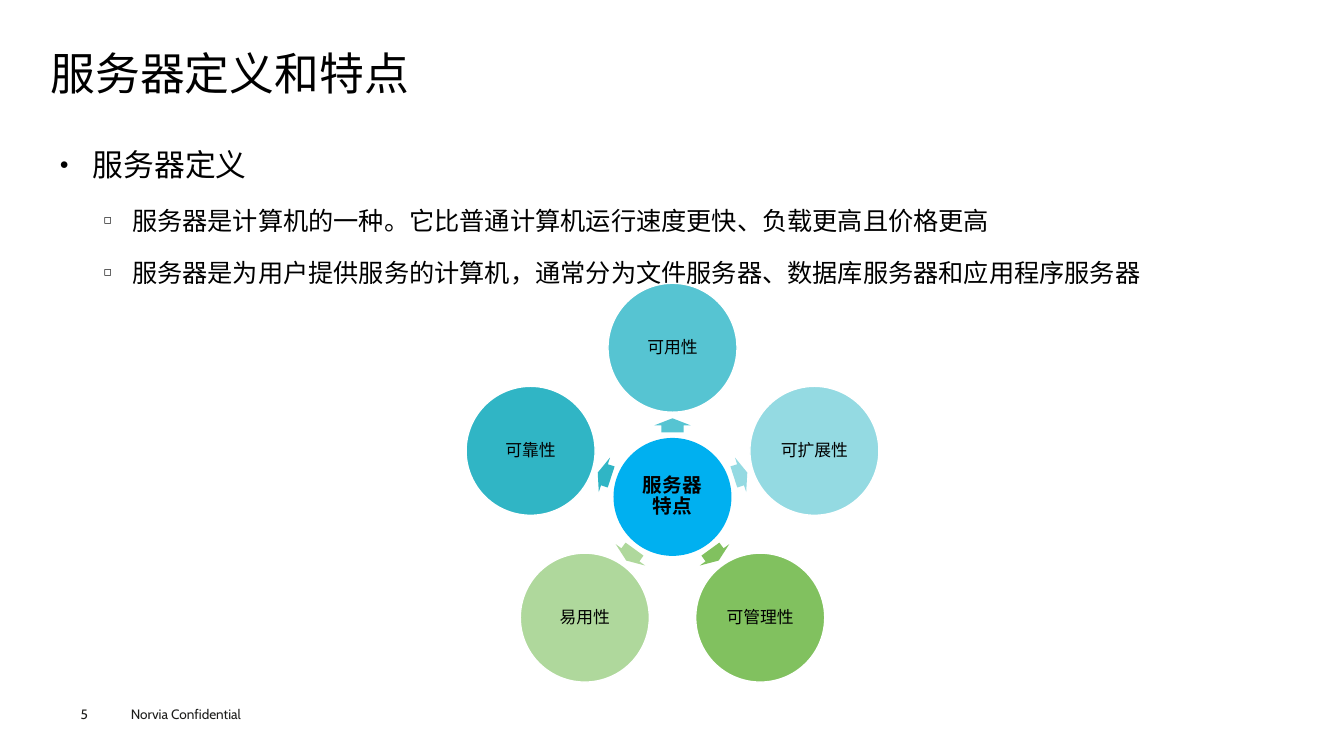
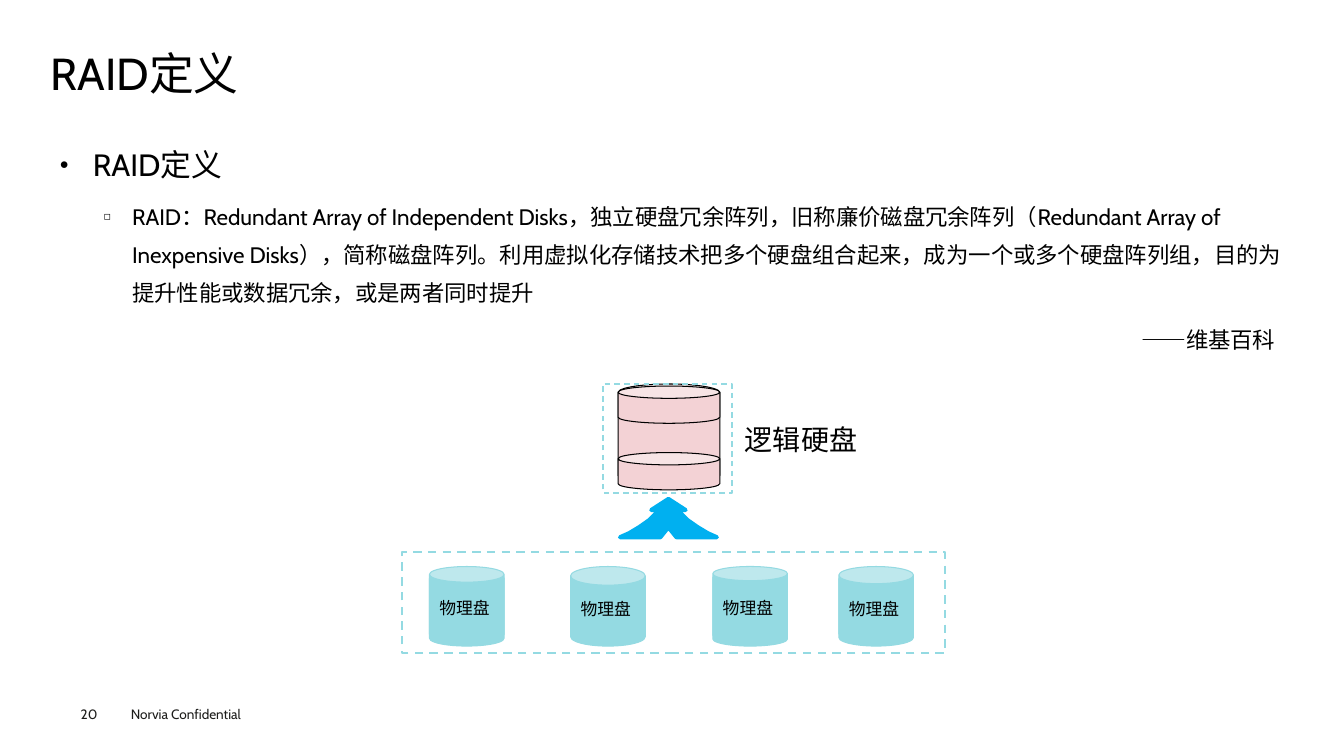
import math

from lxml import etree
from pptx import Presentation
from pptx.dml.color import RGBColor
from pptx.enum import dml, shapes, text
from pptx.oxml import ns
from pptx.util import Inches, Pt

BLACK = RGBColor(0x00, 0x00, 0x00)
WHITE = RGBColor(0xFF, 0xFF, 0xFF)
FOOTER_INK = RGBColor(0x1D, 0x1D, 0x1B)
BLUE = RGBColor(0x00, 0xB0, 0xF0)
TEAL = RGBColor(0x56, 0xC4, 0xD2)
PALE_TEAL = RGBColor(0x94, 0xDA, 0xE2)
DEEP_TEAL = RGBColor(0x30, 0xB5, 0xC5)
GREEN = RGBColor(0x81, 0xC1, 0x5F)
PALE_GREEN = RGBColor(0xAF, 0xD8, 0x9C)
PINK = RGBColor(0xF3, 0xD2, 0xD5)

FONT = "Cabin"
FOOTER = "Norvia Confidential"
ALIGN = text.PP_ALIGN
MIDDLE = text.MSO_ANCHOR.MIDDLE
CAN = shapes.MSO_SHAPE.CAN

# Each outline line: style, text, size
SERVER = {
    "number": 5,
    "title": "服务器定义和特点",
    "outline": [
        ("topic", "服务器定义", 22),
        ("point", "服务器是计算机的一种。它比普通计算机运行速度更快、负载更高且价格更高", 18),
        ("point", "服务器是为用户提供服务的计算机，通常分为文件服务器、数据库服务器和应用程序服务器", 18),
    ],
}
RAID = {
    "number": 20,
    "title": "RAID定义",
    "outline": [
        ("topic", "RAID定义", 22),
        ("point", "RAID：Redundant Array of Independent Disks，独立硬盘冗余阵列，旧称廉价磁盘冗余阵列"
                  "（Redundant Array of Inexpensive Disks），简称磁盘阵列。利用虚拟化存储技术把多个硬盘"
                  "组合起来，成为一个或多个硬盘阵列组，目的为提升性能或数据冗余，或是两者同时提升", 16),
        ("source", "——维基百科", 16),
    ],
}
OUTLINE_STYLES = {
    "topic": {"level": 0, "left": 0.33, "hang": 0.33, "right": 0, "before": 0,
              "bullet": "●", "align": ALIGN.JUSTIFY},
    "point": {"level": 1, "left": 0.72, "hang": 0.28, "right": 0, "before": 7.2,
              "bullet": "◻", "align": ALIGN.LEFT},
    "source": {"level": 1, "left": 0.44, "hang": 0, "right": 0.11, "before": 7.2,
               "bullet": None, "align": ALIGN.RIGHT},
}

# Clockwise from the top
FEATURES = [("可用性", TEAL), ("可扩展性", PALE_TEAL), ("可管理性", GREEN),
            ("易用性", PALE_GREEN), ("可靠性", DEEP_TEAL)]
HUB = (6.67, 4.93)
HUB_SIZE, FEATURE_SIZE, RING_RADIUS = 1.17, 1.28, 1.48
# Arrow corners: offset across the spoke, distance from the hub centre
SPOKE_ARROW = [(-0.11, 0.64), (-0.11, 0.71), (-0.18, 0.71), (0, 0.78),
               (0.18, 0.71), (0.11, 0.71), (0.11, 0.64)]

# Left edge and rim depth of each physical disk
PHYSICAL_DISKS = [(4.26, 0.21), (5.66, 0.25), (7.07, 0.19), (8.32, 0.23)]
# Right half of the merging arrow: offset from its axis, height on the slide
MERGE_AXIS = 6.63
MERGE_HALF = [(0, 4.95), (0.17, 5.06), (0.09, 5.06), (0.19, 5.16), (0.29, 5.23),
              (0.39, 5.29), (0.48, 5.33), (0.08, 5.33), (0, 5.23)]


def style_font(font, size, color=BLACK, bold=False):
    for key, value in {"name": FONT, "size": Pt(size), "bold": bold}.items():
        setattr(font, key, value)
    font.color.rgb = color


def set_frame(frame, insets, anchor=text.MSO_ANCHOR.TOP, wrap=True):
    """Insets run left, top, right, bottom."""
    for side, inset in zip(("left", "top", "right", "bottom"), insets):
        setattr(frame, f"margin_{side}", Inches(inset))
    frame.auto_size = text.MSO_AUTO_SIZE.NONE
    frame.vertical_anchor = anchor
    frame.word_wrap = wrap


def write(frame, words, size, color=BLACK, bold=False, align=ALIGN.LEFT, spacing=1.0):
    paragraph = frame.paragraphs[0]
    paragraph.text = words
    paragraph.alignment = align
    paragraph.line_spacing = spacing
    style_font(paragraph.font, size, color, bold)


def add_label(slide, box, words, size, insets=(0.1, 0.05, 0.1, 0.05), **formats):
    frame = slide.shapes.add_textbox(*map(Inches, box)).text_frame
    set_frame(frame, insets)
    write(frame, words, size, **formats)


def paint(shape, fill=None, line=None, width=1, dash=None):
    shape.shadow.inherit = False
    if fill is None:
        shape.fill.background()
    else:
        shape.fill.solid()
        shape.fill.fore_color.rgb = fill
    if line is None:
        shape.line.fill.background()
    else:
        shape.line.color.rgb = line
        shape.line.width = Pt(width)
        if dash:
            shape.line.dash_style = dash


def add_preset(slide, kind, box, rim=None, **look):
    shape = slide.shapes.add_shape(kind, *map(Inches, box))
    if rim is not None:
        shape.adjustments[0] = rim
    paint(shape, **look)
    return shape


def add_polygon(slide, points, **look):
    corners = [(Inches(x), Inches(y)) for x, y in points]
    builder = slide.shapes.build_freeform(*corners[0])
    builder.add_line_segments(corners[1:], close=True)
    paint(builder.convert_to_shape(), **look)


def set_bullet(paragraph, style):
    props = paragraph._p.get_or_add_pPr()
    for key, inches in (("marL", style["left"]), ("marR", style["right"]),
                        ("indent", -style["hang"])):
        props.set(key, str(int(Inches(inches))))
    if style["bullet"]:
        etree.SubElement(props, ns.qn("a:buSzPct"), val="50000")
        etree.SubElement(props, ns.qn("a:buChar"), char=style["bullet"])
    else:
        etree.SubElement(props, ns.qn("a:buNone"))


def fill_outline(frame, outline):
    # The top inset keeps the first line clear of the title
    set_frame(frame, (0.09, 0.15, 0.09, 0.04))
    for index, (kind, words, size) in enumerate(outline):
        style = OUTLINE_STYLES[kind]
        paragraph = frame.add_paragraph() if index else frame.paragraphs[0]
        paragraph.text = words
        paragraph.level = style["level"]
        set_bullet(paragraph, style)
        paragraph.alignment = style["align"]
        paragraph.line_spacing = 1.4
        paragraph.space_before = Pt(style["before"])
        style_font(paragraph.font, size)


def prepare_layout(deck):
    layout = deck.slide_layouts[1]
    boxes = [(0.5, 0.49, 12.35, 0.53), (0.5, 1.15, 12.35, 5.34)]
    for holder, box in zip(layout.placeholders, boxes):
        for side, inches in zip(("left", "top", "width", "height"), box):
            setattr(holder, side, Inches(inches))
    return layout


def add_content_slide(deck, layout, content):
    slide = deck.slides.add_slide(layout)
    title, body = slide.placeholders
    set_frame(title.text_frame, (0, 0, 0, 0), MIDDLE)
    write(title.text_frame, content["title"], 32, spacing=0.9)
    fill_outline(body.text_frame, content["outline"])
    add_label(slide, (1.2, 6.95, 1.6, 0.27), FOOTER, 9.7, color=FOOTER_INK)
    add_label(slide, (0.8, 7, 0.55, 0.16), str(content["number"]), 9.7,
              insets=(0, 0, 0, 0), color=FOOTER_INK)
    return slide


def add_circle(slide, center, size, words, points, bold=False, **look):
    box = (center[0] - size / 2, center[1] - size / 2, size, size)
    circle = add_preset(slide, shapes.MSO_SHAPE.OVAL, box, **look)
    set_frame(circle.text_frame, (0.07,) * 4, MIDDLE)
    write(circle.text_frame, words, points, bold=bold, align=ALIGN.CENTER, spacing=0.9)


def draw_feature_ring(slide):
    add_circle(slide, HUB, HUB_SIZE, "服务器特点", 14, bold=True, fill=BLUE)
    for index, (feature, color) in enumerate(FEATURES):
        angle = 2 * math.pi * index / len(FEATURES)
        sin, cos = math.sin(angle), math.cos(angle)

        def on_spoke(across, out):
            return HUB[0] + across * cos + out * sin, HUB[1] + across * sin - out * cos

        add_polygon(slide, [on_spoke(*corner) for corner in SPOKE_ARROW], fill=color)
        add_circle(slide, on_spoke(0, RING_RADIUS), FEATURE_SIZE, feature, 12,
                   fill=color, line=WHITE)


def draw_disk_array(slide):
    frame_look = {"line": PALE_TEAL, "dash": dml.MSO_LINE.DASH}
    logical_look = {"fill": PINK, "line": BLACK, "width": 0.75}
    rectangle = shapes.MSO_SHAPE.RECTANGLE

    right = [(MERGE_AXIS + offset, y) for offset, y in MERGE_HALF]
    left = [(MERGE_AXIS - offset, y) for offset, y in MERGE_HALF[-2:0:-1]]
    add_polygon(slide, right + left, fill=BLUE, line=BLUE, width=3)

    add_preset(slide, rectangle, (3.99, 5.48, 5.38, 1), width=1.5, **frame_look)
    for x, rim in PHYSICAL_DISKS:
        for y in (5.66, 5.62):
            disk = add_preset(slide, CAN, (x, y, 0.74, 0.75), rim,
                              fill=PALE_TEAL, line=PALE_TEAL, width=0.75)
        set_frame(disk.text_frame, (0.1, 0.05, 0.1, 0.05), MIDDLE, wrap=False)
        write(disk.text_frame, "物理盘", 12)

    add_preset(slide, CAN, (6.13, 3.81, 1.01, 0.99), 0.17, **logical_look)
    add_label(slide, (7.2, 4.14, 1.49, 0.44), "逻辑硬盘", 20, align=ALIGN.CENTER)
    add_preset(slide, rectangle, (5.98, 3.81, 1.28, 1.08), **frame_look)
    for y in (4.49, 3.83):
        add_preset(slide, CAN, (6.13, y, 1.01, 0.37), 0.33, **logical_look)


def main():
    deck = Presentation()
    deck.slide_width, deck.slide_height = Inches(13.33), Inches(7.5)
    layout = prepare_layout(deck)
    draw_feature_ring(add_content_slide(deck, layout, SERVER))
    draw_disk_array(add_content_slide(deck, layout, RAID))
    deck.save("out.pptx")


if __name__ == "__main__":
    main()
